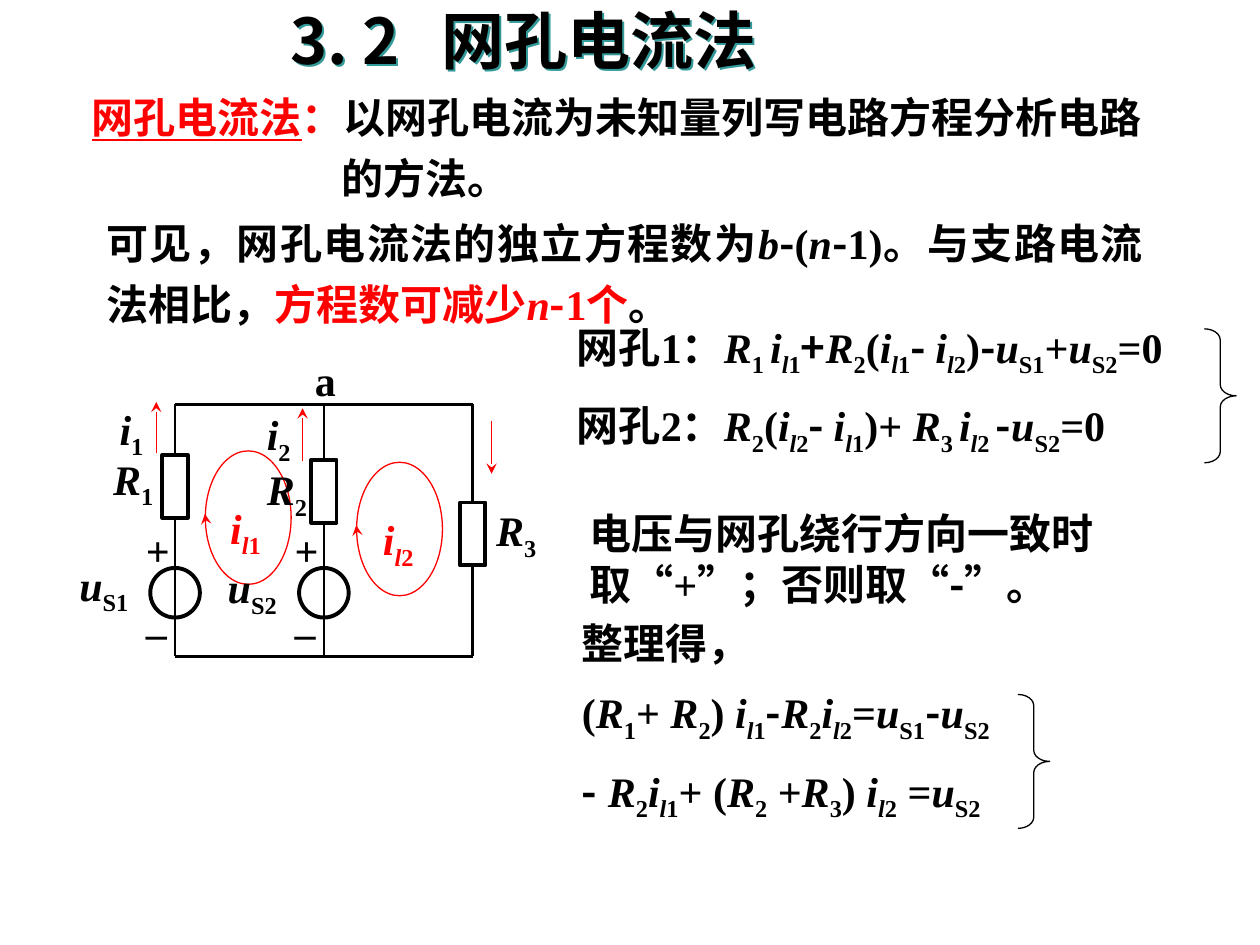
from dataclasses import dataclass

from lxml import etree
from pptx import Presentation
from pptx.dml.color import RGBColor
from pptx.enum.shapes import MSO_CONNECTOR, MSO_SHAPE
from pptx.enum.text import MSO_ANCHOR, PP_ALIGN
from pptx.oxml.ns import qn
from pptx.util import Cm, Pt

RECTANGLE, OVAL, BRACE = MSO_SHAPE.RECTANGLE, MSO_SHAPE.OVAL, MSO_SHAPE.RIGHT_BRACE
STRAIGHT = MSO_CONNECTOR.STRAIGHT
LEFT, JUSTIFY = PP_ALIGN.LEFT, PP_ALIGN.JUSTIFY
MIDDLE = MSO_ANCHOR.MIDDLE


@dataclass(frozen=True)
class Theme:
    ink: RGBColor = RGBColor(0, 0, 0)
    accent: RGBColor = RGBColor(0xFF, 0, 0)
    paper: RGBColor = RGBColor(0xFF, 0xFF, 0xFF)
    title_shadow: str = "339999"
    serif: str = "Times New Roman"
    sans: str = "Noto Sans CJK SC"
    title_size: float = 36
    body_size: float = 24
    thin: float = 0.75
    wire: float = 1.5
    thick: float = 2.25


THEME = Theme()
SUBSCRIPT = "-25000"


def styled_pieces(markup):
    """Split on toggles: * italic, _ subscript, ~ sans, ^ accent, | underline."""
    active, piece = set(), ""
    for char in markup:
        if char in "*_~^|":
            if piece:
                yield piece, frozenset(active)
            active ^= {char}
            piece = ""
        else:
            piece += char
    if piece:
        yield piece, frozenset(active)


def add_text(slide, left, top, width, height, markup, size=THEME.body_size):
    box = slide.shapes.add_textbox(Cm(left), Cm(top), Cm(width), Cm(height))
    box.text_frame.word_wrap = True
    paragraph = box.text_frame.paragraphs[0]
    paragraph.alignment = LEFT
    for piece, styles in styled_pieces(markup):
        run = paragraph.add_run()
        run.text = piece
        font = run.font
        font.size, font.bold = Pt(size), True
        font.italic = "*" in styles
        font.underline = "|" in styles
        font.name = THEME.sans if "~" in styles else THEME.serif
        font.color.rgb = THEME.accent if "^" in styles else THEME.ink
        properties = run._r.get_or_add_rPr()
        if "_" in styles:
            properties.set("baseline", SUBSCRIPT)
        east_asian = etree.SubElement(properties, qn("a:ea"))
        east_asian.set("typeface", THEME.sans)
    return box


def add_outline(slide, kind, left, top, width, height, color, weight, fill=None):
    outline = slide.shapes.add_shape(kind, Cm(left), Cm(top), Cm(width), Cm(height))
    outline.shadow.inherit = False
    if fill is None:
        outline.fill.background()
    else:
        outline.fill.solid()
        outline.fill.fore_color.rgb = fill
    outline.line.color.rgb = color
    outline.line.width = Pt(weight)
    return outline


def add_line(slide, x1, y1, x2, y2, color, weight, arrow=False):
    line = slide.shapes.add_connector(STRAIGHT, Cm(x1), Cm(y1), Cm(x2), Cm(y2))
    line.line.color.rgb = color
    line.line.width = Pt(weight)
    properties = line._element.spPr
    if arrow:
        etree.SubElement(properties.get_or_add_ln(), qn("a:tailEnd")).set("type", "stealth")
    etree.SubElement(properties, qn("a:effectLst"))


def add_title(slide, left, top, width, height):
    title = add_text(slide, left, top, width, height, "~3. 2\t网孔电流法~", THEME.title_size)
    title.text_frame.vertical_anchor = MIDDLE
    properties = title.text_frame.paragraphs[0]._p.get_or_add_pPr()
    tabs = etree.SubElement(properties, qn("a:tabLst"))
    etree.SubElement(tabs, qn("a:tab"), pos=str(Cm(3.05)), algn="l")
    effects = etree.SubElement(title._element.spPr, qn("a:effectLst"))
    shadow = etree.SubElement(effects, qn("a:outerShdw"), dist=str(Pt(1.5)), dir="2700000")
    etree.SubElement(shadow, qn("a:srgbClr"), val=THEME.title_shadow)


def add_introduction(slide, left, top, width, height):
    hanging = Cm(5.03)
    definition = add_text(slide, left, top, width, height,
                          "^|网孔电流法|：^以网孔电流为未知量列写电路方程分析电路的方法。")
    properties = definition.text_frame.paragraphs[0]._p.get_or_add_pPr()
    properties.set("marL", str(hanging))
    properties.set("indent", str(-hanging))
    remark = add_text(slide, left + 0.3, top + 2.54, width - 0.41, height,
                      "可见，网孔电流法的独立方程数为*b*~-~(*n*~-~1)。与支路电流法相比，"
                      "^方程数可减少*n*~-~1个^。")
    remark.text_frame.paragraphs[0].alignment = JUSTIFY
    for box in (definition, remark):
        box.text_frame.paragraphs[0].line_spacing = 1.2


def add_equations(slide, left, top, width, brace_offset, equations):
    pitch = 1.58
    for row, equation in enumerate(equations):
        add_text(slide, left, top + row * pitch, width, 1.42, equation)
    brace = add_outline(slide, BRACE, left + brace_offset, top + 0.28, 0.64, 2.7,
                        THEME.ink, THEME.thin)
    brace.adjustments[0] = 0.35


def add_circuit(slide, left, top, pitch, height):
    branches = [left + i * pitch for i in range(3)]
    right, bottom = branches[-1], top + height

    for x in branches:
        add_line(slide, x, top, x, bottom, THEME.ink, THEME.wire)
    for y in (top, bottom):
        add_line(slide, left, y, right, y, THEME.ink, THEME.wire)

    resistor_width, resistor_height = 0.51, 1.27
    for x, offset in zip(branches, (1.02, 1.12, 1.98)):
        add_outline(slide, RECTANGLE, x - resistor_width / 2, top + offset,
                    resistor_width, resistor_height, THEME.ink, THEME.thick, THEME.paper)

    source_size = 1
    for x in branches[:2]:
        add_outline(slide, OVAL, x - source_size / 2, top + 3.3,
                    source_size, source_size, THEME.ink, THEME.thick)
        for sign, offset in (("+", 2.29), ("–", 3.96)):
            add_text(slide, x - 0.84, top + offset, 0.97, 1.27, sign)

    for dx, start, end in ((-0.38, 0.99, -0.05), (2.57, 1.14, 0.08), (6.38, 0.33, 1.4)):
        add_line(slide, left + dx, top + start, left + dx, top + end,
                 THEME.accent, THEME.thin, arrow=True)

    for dx, dy in ((0.61, 0.94), (3.66, 1.17)):
        x, y = left + dx, top + dy
        add_outline(slide, OVAL, x, y, 1.73, 2.69, THEME.accent, THEME.thin)
        add_line(slide, x + 0.01, y + 1.42, x - 0.01, y + 1.27,
                 THEME.accent, THEME.thin, arrow=True)

    labels = (
        ("a", 2.57, -1.12),
        ("*i*_1_", -1.37, -0.15),
        ("*i*_2_", 1.6, -0.03),
        ("*R*_1_", -1.5, 0.86),
        ("*R*_2_", 1.6, 1.07),
        ("*R*_3_", 6.22, 1.9),
        ("*u*_S1_", -2.18, 3),
        ("*u*_S2_", 0.81, 3.05),
        ("^*i_l*1_^", 0.86, 1.85),
        ("^*i_l*2_^", 3.94, 2.08),
    )
    for label, dx, dy in labels:
        add_text(slide, left + dx, top + dy, 1.85, 1.42, label)


def main():
    deck = Presentation()
    deck.slide_width, deck.slide_height = Cm(25.4), Cm(19.05)
    slide = deck.slides.add_slide(deck.slide_layouts[6])

    add_title(slide, 5.61, 0, 15.7, 1.6)
    add_introduction(slide, 1.6, 1.52, 21.8, 2.7)
    add_equations(slide, 11.38, 6.35, 13.4, 12.9, (
        "网孔1：*R*_1 _*i_l*1_~+~*R*_2_(*i_l*1_~- ~*i_l*2_)~-~*u*_S1_+*u*_S2_=0",
        "网孔2：*R*_2_(*i_l*2_~- ~*i_l*1_)+ *R*_3 _*i_l*2 _~-~*u*_S2_=0",
    ))
    add_text(slide, 11.63, 10.11, 12.65, 2.29,
             "电压与网孔绕行方向一致时取“+”；否则取“~-~”。")
    add_text(slide, 11.48, 12.32, 3.96, 1.27, "整理得，")
    add_equations(slide, 11.48, 13.72, 9.68, 9.04, (
        "(*R*_1_+ *R*_2_) *i_l*1_~-~*R*_2_*i_l*2_=*u*_S1_~-~*u*_S2_",
        "~-~* R*_2_*i_l*1_+ (*R*_2_ +*R*_3_) *i_l*2_ =*u*_S2_",
    ))
    add_circuit(slide, 3.53, 8.15, 3, 5.08)

    deck.save("out.pptx")


if __name__ == "__main__":
    main()
